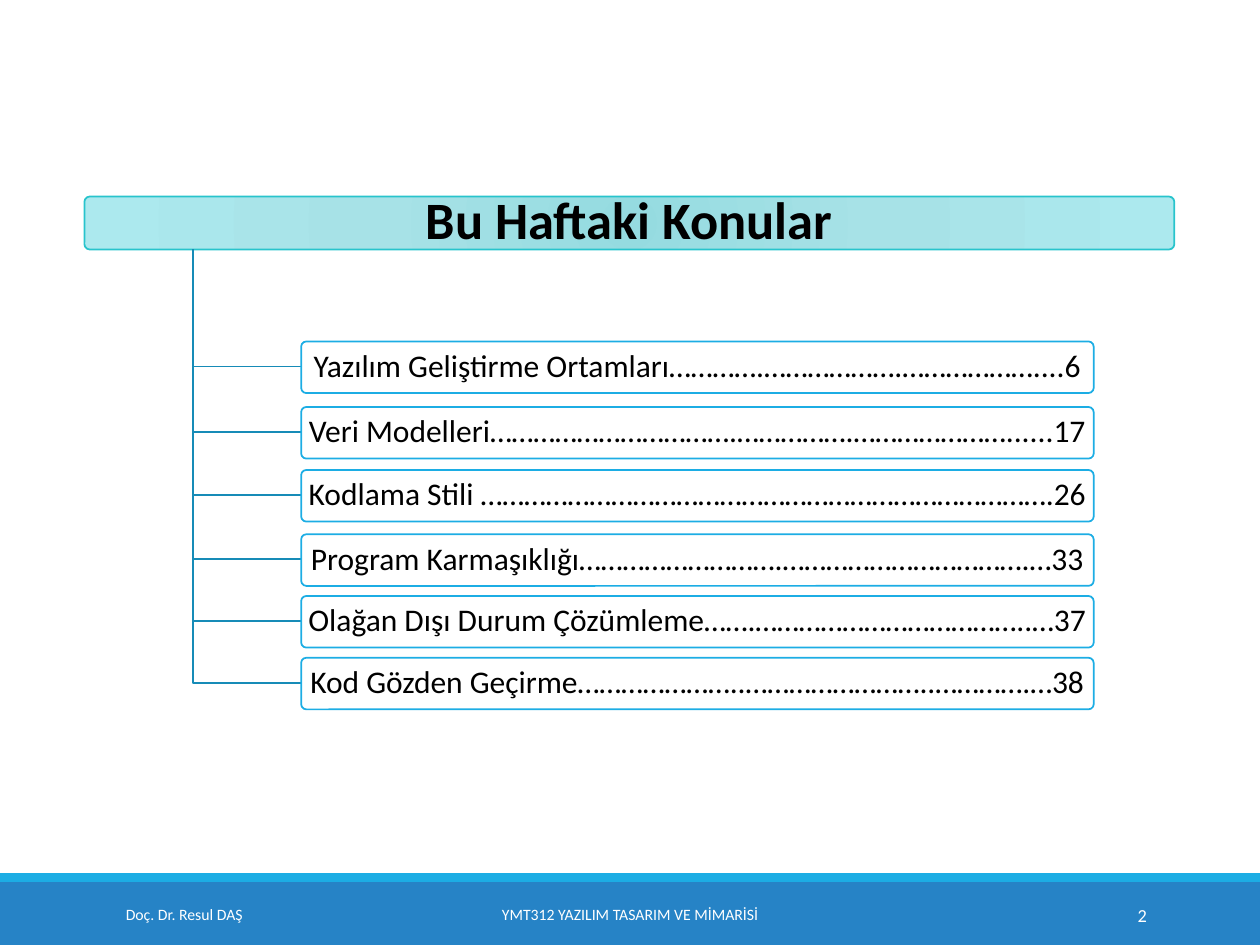
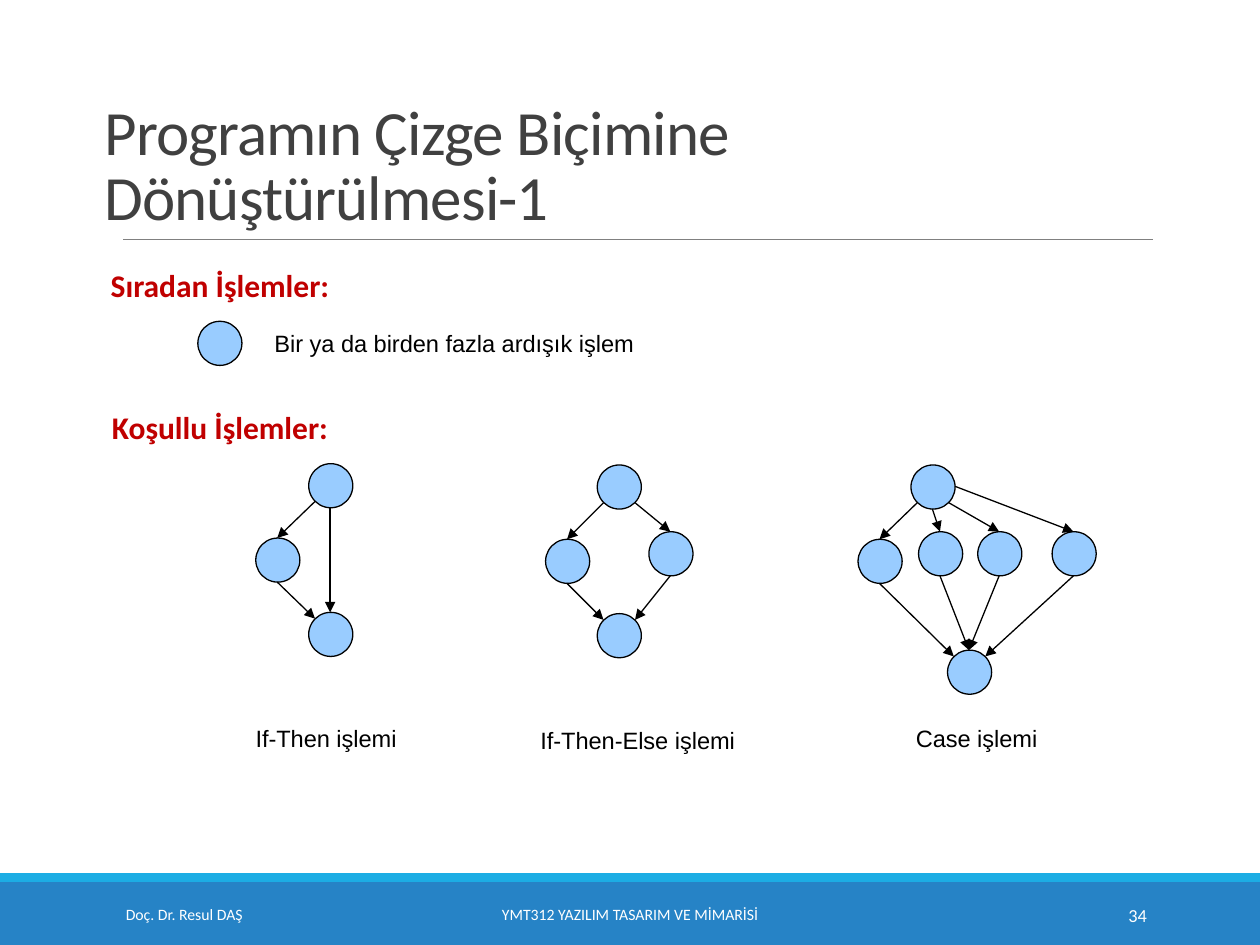
from pptx import Presentation
from pptx.dml.color import RGBColor
from pptx.enum.shapes import MSO_CONNECTOR, MSO_SHAPE
from pptx.enum.text import MSO_ANCHOR, MSO_AUTO_SIZE, PP_ALIGN
from pptx.oxml import parse_xml
from pptx.oxml.ns import nsdecls
from pptx.util import Emu, Pt

RECTANGLE, ROUNDED, OVAL = MSO_SHAPE.RECTANGLE, MSO_SHAPE.ROUNDED_RECTANGLE, MSO_SHAPE.OVAL
STRAIGHT = MSO_CONNECTOR.STRAIGHT
LEFT, CENTER, RIGHT = PP_ALIGN.LEFT, PP_ALIGN.CENTER, PP_ALIGN.RIGHT
TOP, MIDDLE, BOTTOM = MSO_ANCHOR.TOP, MSO_ANCHOR.MIDDLE, MSO_ANCHOR.BOTTOM
FIXED, GROW = MSO_AUTO_SIZE.NONE, MSO_AUTO_SIZE.SHAPE_TO_FIT_TEXT

EMU_PER_PX = 9144  # 100 px to the inch
BLACK, WHITE = "000000", "FFFFFF"
BAND, ACCENT, RULE = "2683C6", "1CADE4", "808080"
TREE, HEADING_EDGE, NODE_FILL = "168BB7", "28C4CC", "99CCFF"
HEADING_STOPS = [(0, "95DBE0"), (45, "A7E2E7"), (100, "ACE9EE")]


def style(size, color=BLACK, name="Calibri", bold=False, align=LEFT, spacing=1.0):
    return {"font": {"name": name, "size": Pt(size), "bold": bold}, "color": color,
            "paragraph": {"alignment": align, "line_spacing": spacing}}


TITLE = style(36, "404040", spacing=0.85)
HEADING = style(30, bold=True, align=CENTER, spacing=0.9)
TOPIC = style(18, align=CENTER, spacing=0.9)
SECTION = style(18, "C00000", bold=True)
CAPTION = style(13.5, name="Arial")

FOOTER_TOP, FOOTER_HEIGHT = 706, 40
AUTHOR = "Doç. Dr. Resul DAŞ"
COURSE = "YMT312 YAZILIM TASARIM VE MİMARİSİ"

TOPICS = [
    (271, "Yazılım Geliştirme Ortamları………….……………….………………....6"),
    (323, "Veri Modelleri…………………………….…………….…………………......17"),
    (373, "Kodlama Stili …………………………………………………………………….26"),
    (424, "Program Karmaşıklığı……………………….…………………………….…33 "),
    (473, "Olağan Dışı Durum Çözümleme…….………………………………..…37 "),
    (522, "Kod Gözden Geçirme…………………..……………………..………….…38 "),
]

# Points on a node's edge, in px from its top left corner
NODE_SIZE = 35
PORTS = {"top": (17, 0), "bottom": (17, 35), "right": (35, 17), "top left": (5, 5),
         "top right": (30, 5), "bottom left": (5, 30), "bottom right": (30, 30)}

# Each graph: node corners, then arrows as (node, port, node, port)
IF_THEN = (
    {"start": (245, 368), "then": (203, 427), "end": (245, 486)},
    [("start", "bottom left", "then", "top"), ("then", "bottom", "end", "top left"),
     ("start", "bottom", "end", "top")],
)
IF_THEN_ELSE = (
    {"start": (474, 369), "then": (433, 428), "else": (515, 422), "end": (474, 487)},
    [("start", "bottom left", "then", "top"), ("start", "bottom right", "else", "top"),
     ("then", "bottom", "end", "top left"), ("else", "bottom", "end", "top right")],
)
CASE = (
    {"start": (723, 369), "case 1": (681, 428), "case 2": (729, 422),
     "case 3": (776, 422), "case 4": (835, 422), "end": (752, 516)},
    [("start", "bottom left", "case 1", "top"), ("start", "bottom", "case 2", "top"),
     ("start", "bottom right", "case 3", "top"), ("start", "right", "case 4", "top"),
     ("case 1", "bottom", "end", "top left"), ("case 2", "bottom", "end", "top"),
     ("case 3", "bottom", "end", "top"), ("case 4", "bottom", "end", "top right")],
)
SECTIONS = [((78, 206, 195, 40), "Sıradan İşlemler:"),
            ((79, 319, 193, 40), "Koşullu İşlemler:")]
CAPTIONS = [((208, 256, 309, 33), "Bir ya da birden fazla ardışık işlem"),
            ((193, 570, 134, 33), "If-Then işlemi"),
            ((419, 571, 177, 33), "If-Then-Else işlemi"),
            ((717, 570, 118, 33), "Case işlemi")]


def px(value):
    return Emu(value * EMU_PER_PX)


def rgb(value):
    return RGBColor.from_string(value)


def assign(target, values):
    for name, value in values.items():
        setattr(target, name, value)


class Deck:
    """Holds the presentation, its shared look and the current slide."""

    def __init__(self):
        self.presentation = Presentation()
        assign(self.presentation, {"slide_width": px(1000), "slide_height": px(750)})
        self.slide = None

    def new_slide(self, number):
        title_only = self.presentation.slide_layouts[5]
        self.slide = self.presentation.slides.add_slide(title_only)
        self.shape(RECTANGLE, (0, 700, 1000, 50), BAND)
        self.shape(RECTANGLE, (0, 693, 1000, 7), ACCENT)
        for left, width, text, size, align in [(90, 203, AUTHOR, 9, LEFT),
                                               (302, 396, COURSE, 9, CENTER),
                                               (812, 108, str(number), 10.5, RIGHT)]:
            self.text((left, FOOTER_TOP, width, FOOTER_HEIGHT), text,
                      style(size, WHITE, align=align), anchor=MIDDLE, wrap=True)

    def fill_text(self, shape, text, look, anchor=TOP, wrap=True, fit=FIXED, insets=(10, 5)):
        frame = shape.text_frame
        across, down = map(px, insets)
        assign(frame, {"word_wrap": wrap, "auto_size": fit, "vertical_anchor": anchor,
                       "margin_left": across, "margin_right": across,
                       "margin_top": down, "margin_bottom": down})
        paragraph = frame.paragraphs[0]
        assign(paragraph, look["paragraph"])
        run = paragraph.add_run()
        run.text = text
        assign(run.font, look["font"])
        run.font.color.rgb = rgb(look["color"])
        return run

    def title(self, box, text, look, anchor, insets=(10, 5), tracking=0):
        title = self.slide.shapes.title
        assign(title, dict(zip(("left", "top", "width", "height"), map(px, box))))
        run = self.fill_text(title, text, look, anchor, insets=insets)
        if tracking:
            run.font._element.set("spc", str(tracking))
        # Bring the title in front of the shapes drawn so far
        self.slide.shapes._spTree.append(title._element)

    def text(self, box, text, look, anchor=TOP, wrap=False):
        shape = self.slide.shapes.add_textbox(*map(px, box))
        self.fill_text(shape, text, look, anchor, wrap, FIXED if wrap else GROW)

    def outline(self, shape, color, width):
        shape.line.color.rgb = rgb(color)
        shape.line.width = Pt(width)

    def shape(self, kind, box, fill, line=None, width=1):
        shape = self.slide.shapes.add_shape(kind, *map(px, box))
        shape.shadow.inherit = False
        shape.fill.solid()
        shape.fill.fore_color.rgb = rgb(fill)
        if line:
            self.outline(shape, line, width)
        else:
            shape.line.fill.background()
        if kind == ROUNDED:
            shape.adjustments[0] = 0.1
        return shape

    def radial_fill(self, shape, stops):
        stop_xml = "".join(f'<a:gs pos="{place * 1000}"><a:srgbClr val="{color}"/></a:gs>'
                           for place, color in stops)
        gradient = parse_xml(
            f'<a:gradFill {nsdecls("a")} rotWithShape="1"><a:gsLst>{stop_xml}</a:gsLst>'
            '<a:path path="circle"><a:fillToRect l="100000" t="100000" r="100000" b="100000"/>'
            '</a:path></a:gradFill>')
        properties = shape._element.spPr
        properties.replace(properties.solidFill, gradient)

    def elbow(self, start, *points):
        builder = self.slide.shapes.build_freeform(*start, scale=EMU_PER_PX)
        builder.add_line_segments(points, close=False)
        shape = builder.convert_to_shape()
        shape.shadow.inherit = False
        shape.fill.background()
        self.outline(shape, TREE, 1)

    def line(self, start, end, color=BLACK, width=0.75, arrow=False):
        connector = self.slide.shapes.add_connector(STRAIGHT, *map(px, (*start, *end)))
        self.outline(connector, color, width)
        if arrow:
            connector.line._get_or_add_ln().append(
                parse_xml(f'<a:tailEnd {nsdecls("a")} type="triangle"/>'))
        connector._element.spPr.append(parse_xml(f'<a:effectLst {nsdecls("a")}/>'))

    def node(self, left, top):
        self.shape(OVAL, (left, top, NODE_SIZE, NODE_SIZE), NODE_FILL, BLACK, 0.75)

    def graph(self, nodes, arrows):
        def point(name, port):
            return [corner + offset for corner, offset in zip(nodes[name], PORTS[port])]

        for corner in nodes.values():
            self.node(*corner)
        for source, source_port, target, target_port in arrows:
            self.line(point(source, source_port), point(target, target_port), arrow=True)


def topics_slide(deck):
    deck.new_slide(2)
    # Heading bar
    heading_box = (67, 156, 865, 42)
    heading = deck.shape(ROUNDED, heading_box, WHITE, HEADING_EDGE)
    deck.radial_fill(heading, HEADING_STOPS)
    deck.title(heading_box, "Bu Haftaki Konular", HEADING, MIDDLE, insets=(6, 4))
    # Topic tree
    trunk, branch_end, height = 153, 239, 41
    for top, text in TOPICS:
        middle = top + height // 2
        deck.elbow((trunk, 198), (trunk, middle), (branch_end, middle))
        topic = deck.shape(ROUNDED, (branch_end, top, 629, height), WHITE, ACCENT)
        deck.fill_text(topic, text, TOPIC, MIDDLE, insets=(4, 3))


def graphs_slide(deck):
    deck.new_slide(34)
    deck.line((98, 190), (915, 190), RULE, 0.5)
    deck.title((73, 31, 871, 159), "Programın Çizge Biçimine Dönüştürülmesi-1",
               TITLE, BOTTOM, tracking=-50)
    # Single node, then the conditional graphs
    deck.node(157, 255)
    for nodes, arrows in (IF_THEN, IF_THEN_ELSE, CASE):
        deck.graph(nodes, arrows)
    # Labels
    for labels, look in ((SECTIONS, SECTION), (CAPTIONS, CAPTION)):
        for box, text in labels:
            deck.text(box, text, look)


def main():
    deck = Deck()
    topics_slide(deck)
    graphs_slide(deck)
    deck.presentation.save("out.pptx")


if __name__ == "__main__":
    main()
